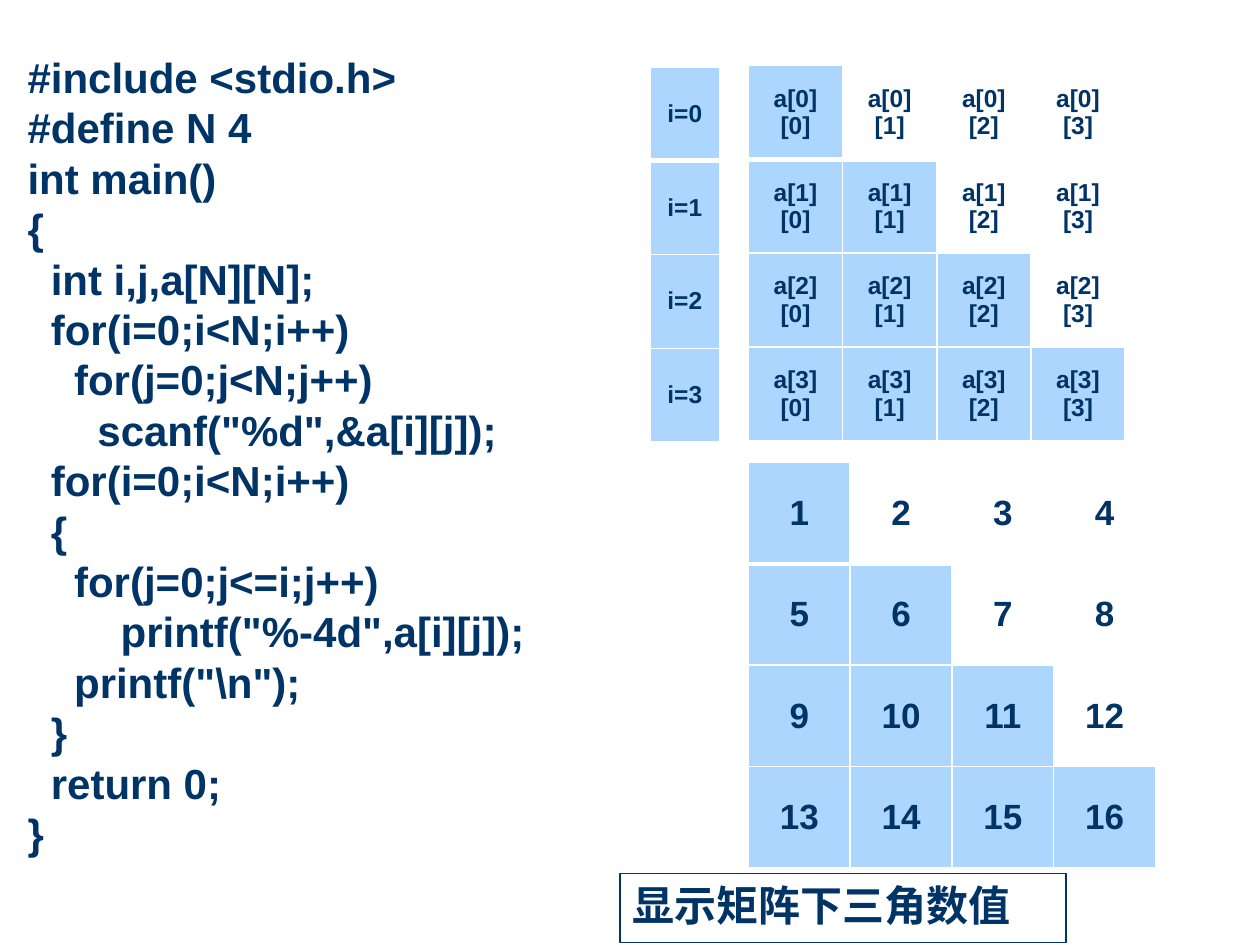
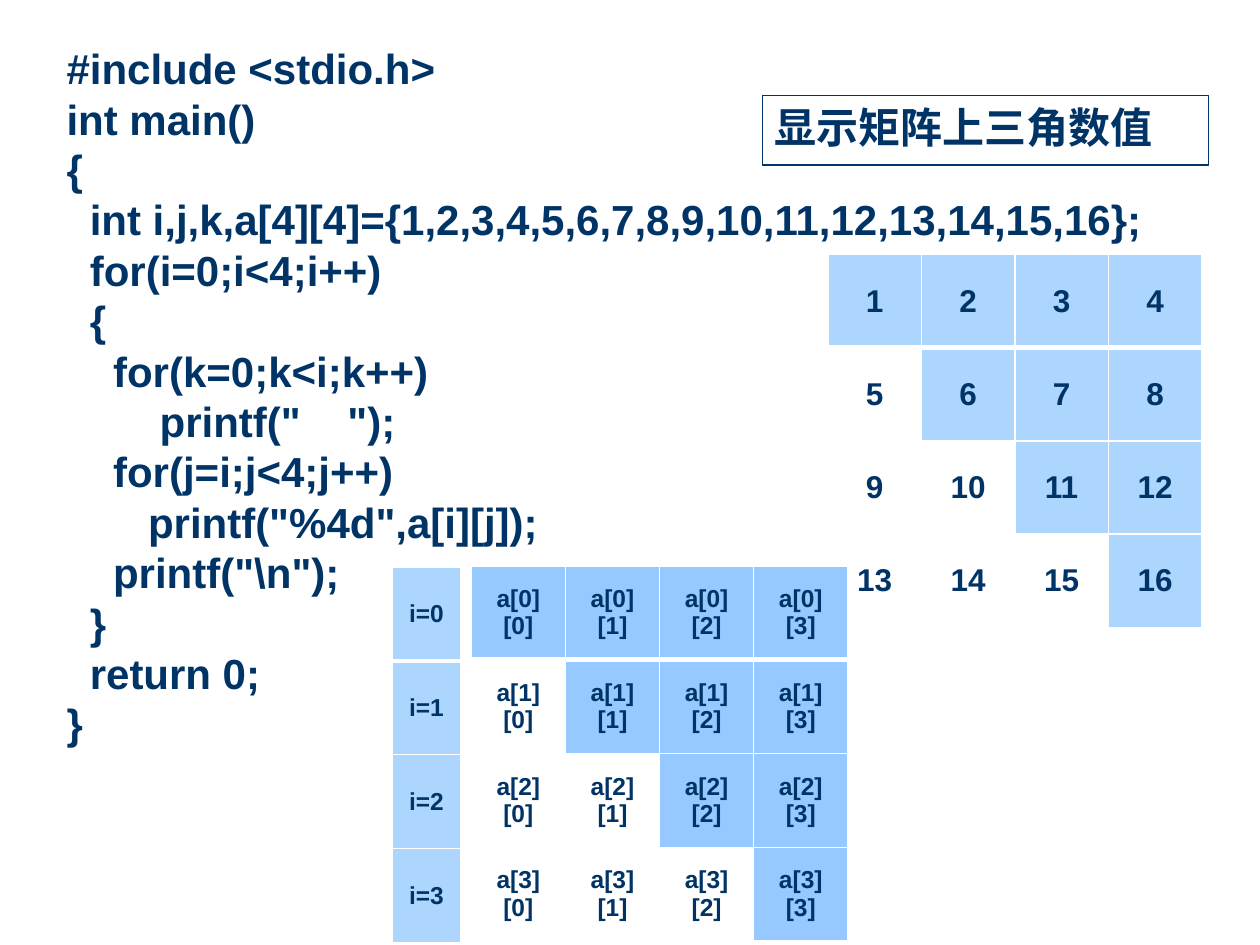
from dataclasses import dataclass
from typing import Callable

from lxml import etree
from pptx import Presentation
from pptx import util as u
from pptx.dml.color import RGBColor
from pptx.enum import shapes, text
from pptx.oxml import ns

COLOURS = {"ink": "003366", "light": "ADD6FF", "strong": "95C9FF", "grid": "FFFFFF"}
FONT = "Arial"
CODE_SIZE = 24
SIZE = 4  # the matrix has SIZE rows and SIZE columns
BLANK_LAYOUT = 6


@dataclass(frozen=True)
class Box:
    left: float
    top: float
    width: float
    height: float

    def emu(self) -> list[u.Length]:
        return [u.Inches(side) for side in (self.left, self.top, self.width, self.height)]


@dataclass(frozen=True)
class Grid:
    box: Box
    rows: list[list[str]]
    size: int
    shaded: Callable[[int, int], bool]
    fill: str = "light"
    margin_x: float = 0.1
    margin_y: float = 0.05


@dataclass(frozen=True)
class MatrixSlide:
    code: str
    code_box: Box
    caption: str
    caption_box: Box
    grids: list[Grid]


# Cell contents and shading rules
VALUES = [[str(row * SIZE + column + 1) for column in range(SIZE)] for row in range(SIZE)]
ELEMENTS = [[f"a[{row}][{column}]" for column in range(SIZE)] for row in range(SIZE)]
ROW_LABELS = [[f"i={row}"] for row in range(SIZE)]


def lower(row: int, column: int) -> bool:
    return column <= row


def upper(row: int, column: int) -> bool:
    return column >= row


def every(row: int, column: int) -> bool:
    return True


# Programs
LOWER_CODE = r"""#include <stdio.h>
#define N 4
int main()
{
  int i,j,a[N][N];
  for(i=0;i<N;i++)
    for(j=0;j<N;j++)
      scanf("%d",&a[i][j]);
  for(i=0;i<N;i++)
  {
    for(j=0;j<=i;j++)
        printf("%-4d",a[i][j]);
    printf("\n");
  }
  return 0;
}"""

UPPER_CODE = r"""#include <stdio.h>
int main()
{
  int i,j,k,a[4][4]={1,2,3,4,5,6,7,8,9,10,11,12,13,14,15,16};
  for(i=0;i<4;i++)
  {
    for(k=0;k<i;k++)
        printf("    ");
    for(j=i;j<4;j++)
       printf("%4d",a[i][j]);
    printf("\n");
  }
  return 0;
}"""

SLIDES = [
    MatrixSlide(
        LOWER_CODE, Box(0.12, 0.36, 9.21, 6.56),
        "显示矩阵下三角数值", Box(4.92, 6.93, 3.54, 0.55),
        [
            Grid(Box(5.94, 3.67, 3.23, 3.22), VALUES, 20, lower,
                 margin_x=0.11, margin_y=0.06),
            Grid(Box(5.94, 0.52, 2.99, 2.98), ELEMENTS, 14, lower),
            Grid(Box(5.16, 0.53, 0.55, 2.98), ROW_LABELS, 14, every),
        ],
    ),
    MatrixSlide(
        UPPER_CODE, Box(0.43, 0.29, 9.37, 5.76),
        "显示矩阵上三角数值", Box(6.05, 0.76, 3.54, 0.55),
        [
            Grid(Box(6.57, 2.02, 2.97, 2.96), VALUES, 18, upper),
            Grid(Box(3.74, 4.49, 2.99, 2.98), ELEMENTS, 14, upper, "strong"),
            Grid(Box(3.11, 4.5, 0.55, 2.98), ROW_LABELS, 14, every),
        ],
    ),
]


def colour(name: str) -> RGBColor:
    return RGBColor.from_string(COLOURS[name])


def add_run(paragraph, words: str, size: int) -> None:
    run = paragraph.add_run()
    run.text = words
    run.font.name = FONT
    run.font.size = u.Pt(size)
    run.font.bold = True
    run.font.color.rgb = colour("ink")


def add_code(slide, code: str, box: Box) -> None:
    frame = slide.shapes.add_textbox(*box.emu()).text_frame
    frame.word_wrap = True
    frame.auto_size = text.MSO_AUTO_SIZE.SHAPE_TO_FIT_TEXT
    for index, line in enumerate(code.splitlines()):
        paragraph = frame.add_paragraph() if index else frame.paragraphs[0]
        paragraph.line_spacing = u.Pt(1.2 * CODE_SIZE)
        add_run(paragraph, line, CODE_SIZE)


def add_caption(slide, words: str, box: Box) -> None:
    shape = slide.shapes.add_shape(shapes.MSO_SHAPE.RECTANGLE, *box.emu())
    shape.shadow.inherit = False
    shape.fill.background()
    shape.line.color.rgb = colour("ink")
    shape.line.width = u.Pt(0.75)
    frame = shape.text_frame
    frame.word_wrap = True
    frame.vertical_anchor = text.MSO_ANCHOR.TOP
    paragraph = frame.paragraphs[0]
    paragraph.alignment = text.PP_ALIGN.LEFT
    add_run(paragraph, words, CODE_SIZE)


def set_borders(cell, row: int) -> None:
    """Thin white lines, with a thick one below the first row."""
    widths = {"lnL": 1, "lnR": 1, "lnT": 3 if row == 1 else 1, "lnB": 3 if row == 0 else 1}
    properties = cell._tc.get_or_add_tcPr()
    for side, width in widths.items():
        line = etree.SubElement(properties, ns.qn(f"a:{side}"), w=str(u.Pt(width)))
        fill = etree.SubElement(line, ns.qn("a:solidFill"))
        etree.SubElement(fill, ns.qn("a:srgbClr"), val=COLOURS["grid"])


def add_grid(slide, grid: Grid) -> None:
    shape = slide.shapes.add_table(len(grid.rows), len(grid.rows[0]), *grid.box.emu())
    table = shape.table
    table.first_row = False
    table.horz_banding = False
    for row, entries in enumerate(grid.rows):
        for column, words in enumerate(entries):
            cell = table.cell(row, column)
            cell.margin_left = cell.margin_right = u.Inches(grid.margin_x)
            cell.margin_top = cell.margin_bottom = u.Inches(grid.margin_y)
            cell.vertical_anchor = text.MSO_ANCHOR.MIDDLE
            set_borders(cell, row)
            if grid.shaded(row, column):
                cell.fill.solid()
                cell.fill.fore_color.rgb = colour(grid.fill)
            else:
                cell.fill.background()
            paragraph = cell.text_frame.paragraphs[0]
            paragraph.alignment = text.PP_ALIGN.CENTER
            add_run(paragraph, words, grid.size)


def main() -> None:
    presentation = Presentation()
    presentation.slide_width = u.Inches(10)
    presentation.slide_height = u.Inches(7.5)
    for content in SLIDES:
        slide = presentation.slides.add_slide(presentation.slide_layouts[BLANK_LAYOUT])
        add_code(slide, content.code, content.code_box)
        for grid in content.grids:
            add_grid(slide, grid)
        add_caption(slide, content.caption, content.caption_box)
    presentation.save("out.pptx")


if __name__ == "__main__":
    main()
